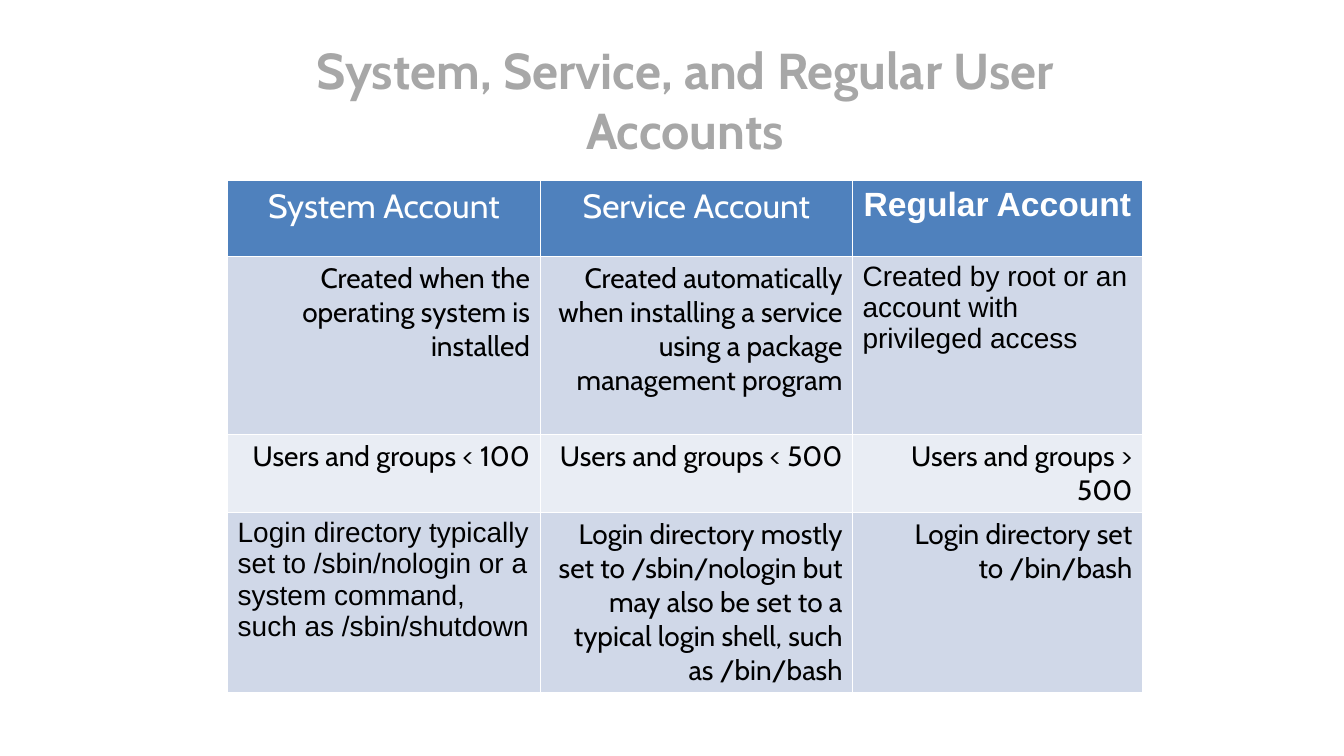
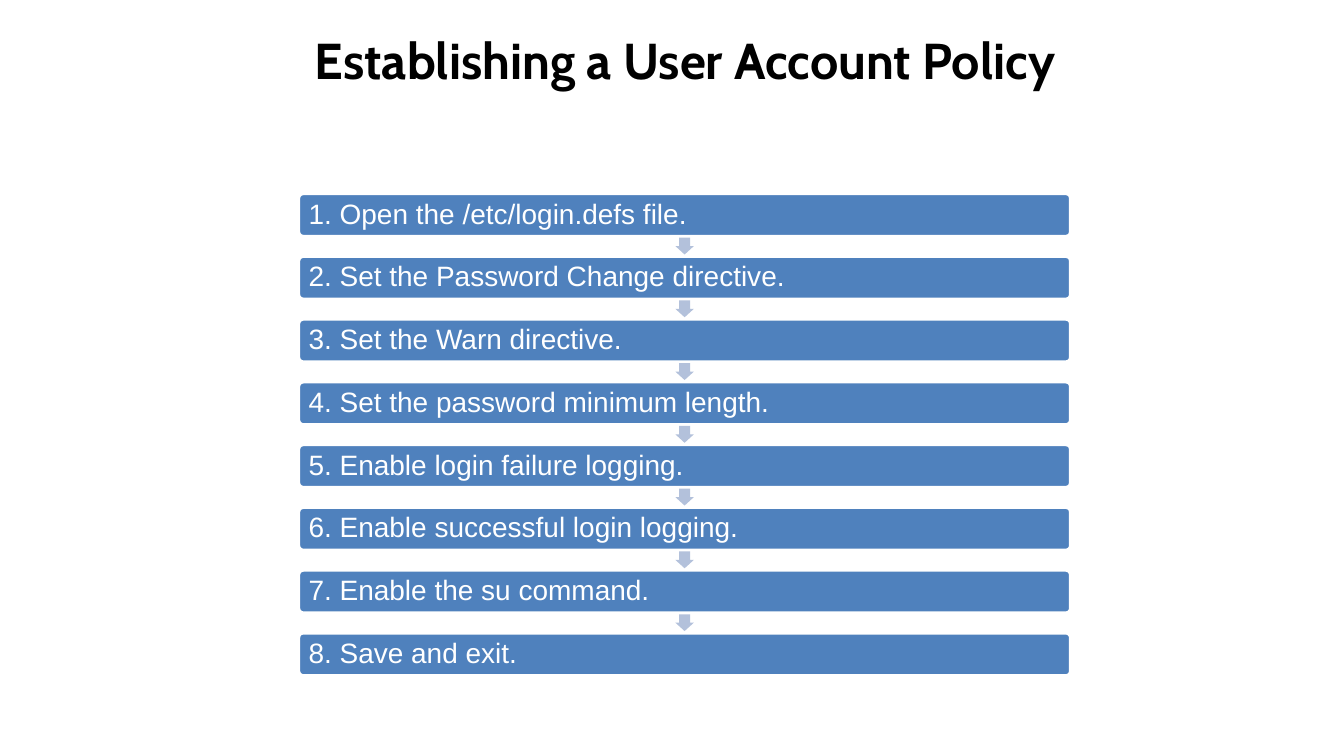
"""Build two slides on user account types and the account policy."""
from lxml import etree
from pptx import Presentation
from pptx.dml.color import RGBColor
from pptx.enum.shapes import MSO_SHAPE
from pptx.enum.text import MSO_ANCHOR, MSO_AUTO_SIZE, PP_ALIGN
from pptx.oxml.ns import qn
from pptx.util import Inches, Pt

LEFT, CENTER, RIGHT = PP_ALIGN.LEFT, PP_ALIGN.CENTER, PP_ALIGN.RIGHT
MIDDLE = MSO_ANCHOR.MIDDLE
NO_FIT = MSO_AUTO_SIZE.NONE
BAR, ARROW = MSO_SHAPE.ROUNDED_RECTANGLE, MSO_SHAPE.DOWN_ARROW

COLORS = {
    "white": "FFFFFF",
    "black": "000000",
    "gray": "A7A7A7",
    "blue": "4F81BD",
    "band": "D0D8E8",
    "pale": "E9EDF4",
    "arrow": "B3C1DB",
}
SANS, CABIN = "Arial", "Cabin"
SIDE, WIDTH = 2.71, 10.89

COLS = [3.72, 3.72, 3.45]
ROWS = [0.9, 2.12, 0.92, 2.12]
FILLS = ["blue", "band", "pale", "band"]
CELLS = [
    ["System Account", "Service Account", "Regular Account"],
    ["Created when the operating system is installed",
     "Created automatically when installing a service using a package "
     "management program",
     "Created by root or an account with privileged access"],
    ["Users and groups < 100", "Users and groups < 500",
     "Users and groups > 500"],
    ["Login directory typically set to /sbin/nologin or a system command, "
     "such as /sbin/shutdown",
     "Login directory mostly set to /sbin/nologin but may also be set to a "
     "typical login shell, such as /bin/bash",
     "Login directory set to /bin/bash"],
]
SANS_CELLS = {(0, 2), (1, 2), (3, 0)}

STEPS = [
    "Open the /etc/login.defs file.",
    "Set the Password Change directive.",
    "Set the Warn directive.",
    "Set the password minimum length.",
    "Enable login failure logging.",
    "Enable successful login logging.",
    "Enable the su command.",
    "Save and exit.",
]


def color(name):
    """Return the named colour."""
    return RGBColor.from_string(COLORS[name])


def paint(item, name):
    """Fill a shape or cell with a solid colour."""
    item.fill.solid()
    item.fill.fore_color.rgb = color(name)


def pad(item, side, edge):
    """Set the side and top margins of a cell or text frame."""
    item.margin_left = item.margin_right = Inches(side)
    item.margin_top = item.margin_bottom = Inches(edge)


def style(frame, font, size, tint, align, bold=False):
    """Format all the text in a frame."""
    for para in frame.paragraphs:
        para.alignment = align
        for run in para.runs:
            run.font.name = font
            run.font.size = Pt(size)
            run.font.bold = bold
            run.font.color.rgb = color(tint)


def add_page(deck, text, height, tint):
    """Add a slide with a formatted title."""
    page = deck.slides.add_slide(deck.slide_layouts[5])
    title = page.shapes.title
    title.left, title.top = Inches(SIDE), Inches(0.4)
    title.width, title.height = Inches(WIDTH), Inches(height)
    frame = title.text_frame
    frame.text = text
    frame.auto_size = NO_FIT
    frame.vertical_anchor = MIDDLE
    pad(frame, 0.07, 0.07)
    style(frame, CABIN, 43.2, tint, CENTER, True)
    return page


def add_edges(cell):
    """Draw thin white borders round a cell."""
    props = cell._tc.get_or_add_tcPr()
    for spot, tag in enumerate(["a:lnL", "a:lnR", "a:lnT", "a:lnB"]):
        line = etree.Element(qn(tag), w=str(Pt(1)))
        fill = etree.SubElement(line, qn("a:solidFill"))
        etree.SubElement(fill, qn("a:srgbClr"), val=COLORS["white"])
        props.insert(spot, line)


def fill_cell(cell, row, col):
    """Write and format one cell of the account table."""
    head = row == 0
    sans = (row, col) in SANS_CELLS
    cell.text_frame.text = CELLS[row][col]
    pad(cell, 0.11 if head else 0.12, 0.06)
    paint(cell, FILLS[row])
    add_edges(cell)
    font = SANS if sans else CABIN
    if head:
        style(cell.text_frame, font, 28.8, "white", CENTER, sans)
    else:
        style(cell.text_frame, font, 24, "black", LEFT if sans else RIGHT)


def add_grid(page):
    """Add the table of account types."""
    table = page.shapes.add_table(
        len(ROWS), len(COLS), Inches(SIDE), Inches(2.15),
        Inches(WIDTH), Inches(sum(ROWS))).table
    for col, width in zip(table.columns, COLS):
        col.width = Inches(width)
    for row, height in enumerate(ROWS):
        table.rows[row].height = Inches(height)
        for col in range(len(COLS)):
            fill_cell(table.cell(row, col), row, col)


def add_form(page, kind, box, fill, *bends):
    """Add a plain preset shape with a solid fill."""
    form = page.shapes.add_shape(kind, *map(Inches, box))
    form.shadow.inherit = False
    paint(form, fill)
    for spot, bend in enumerate(bends):
        form.adjustments[spot] = bend
    return form


def add_step(page, text, top):
    """Add one bar of the step list."""
    bar = add_form(page, BAR, (3.56, top, 9.18, 0.5), "blue", 0.1)
    bar.line.color.rgb = color("white")
    bar.line.width = Pt(2)
    frame = bar.text_frame
    frame.text = text
    frame.word_wrap = True
    frame.vertical_anchor = MIDDLE
    pad(frame, 0.1, 0.05)
    style(frame, SANS, 24, "white", LEFT)
    frame.paragraphs[0].line_spacing = 0.9


def add_flow(page):
    """Stack the numbered steps with arrows between them."""
    first, last = 2.31, 7.54
    pitch = (last - first) / (len(STEPS) - 1)
    for spot, text in enumerate(STEPS):
        top = first + spot * pitch
        add_step(page, f"{spot + 1}. {text}", top)
        if spot < len(STEPS) - 1:
            arrow = add_form(page, ARROW, (8.04, top + 0.52, 0.22, 0.2),
                             "arrow", 0.6, 0.5)
            arrow.line.fill.background()


def main():
    """Build and save the deck."""
    deck = Presentation()
    deck.slide_width, deck.slide_height = Inches(16), Inches(9)
    add_grid(add_page(
        deck, "System, Service, and Regular User Accounts", 1.57, "gray"))
    add_flow(add_page(
        deck, "Establishing a User Account Policy", 0.62, "black"))
    deck.save("out.pptx")


if __name__ == "__main__":
    main()
